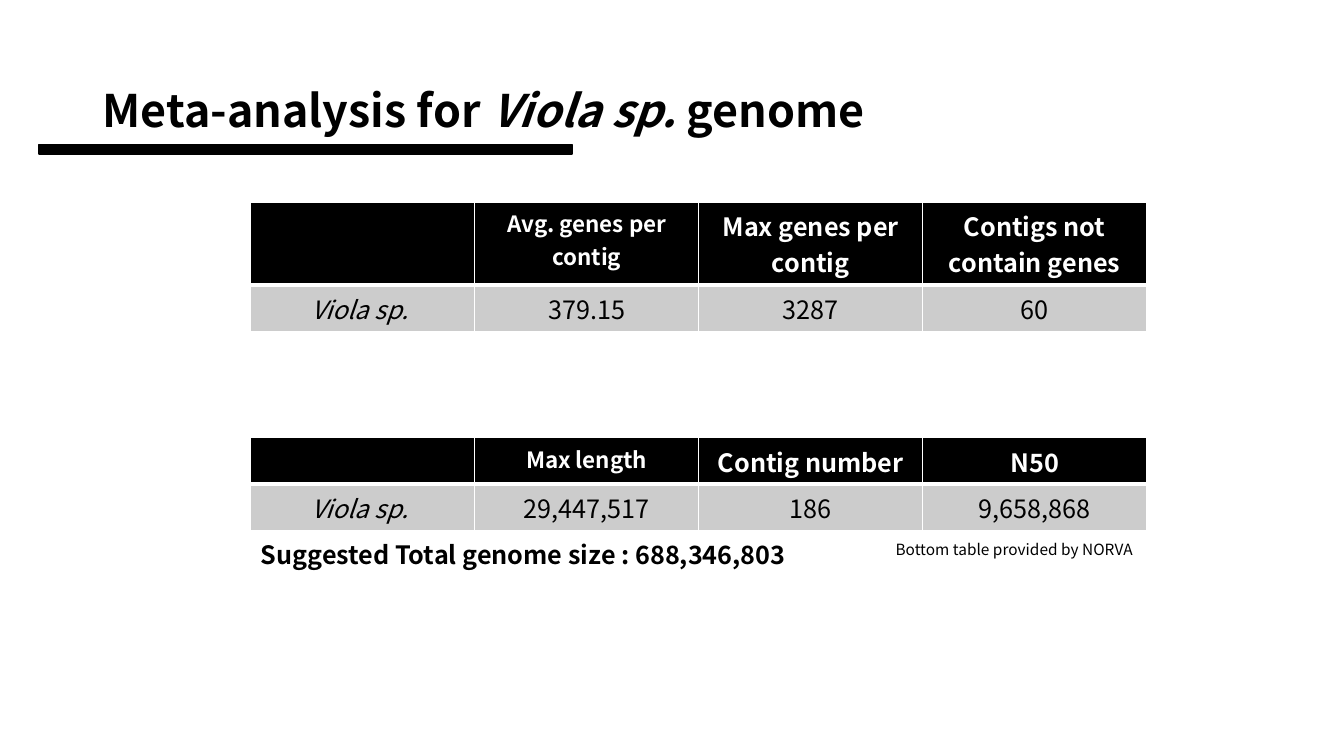
import pptx
import pptx.dml.color
import pptx.enum.shapes
import pptx.enum.text
import pptx.oxml
import pptx.oxml.ns
import pptx.util
from pptx.dml.color import RGBColor
from pptx.util import Cm

BLACK = RGBColor(0x00, 0x00, 0x00)
WHITE = RGBColor(0xFF, 0xFF, 0xFF)
GREY = RGBColor(0xCC, 0xCC, 0xCC)

TABLE_LEFT, TABLE_WIDTH, ROW_HEIGHT = 6.32, 22.58, 1.03


class Deck:
    """Holds the style and the current slide."""

    font = "Noto Sans CJK KR"

    def __init__(self):
        self.prs = pptx.Presentation()
        self.prs.slide_width, self.prs.slide_height = Cm(33.87), Cm(19.05)
        self.s = self.prs.slides.add_slide(self.prs.slide_layouts[5])

    def run(self, p, text, size, bold=False, italic=False, color=BLACK):
        r = p.add_run()
        r.text = text
        r.font.name = self.font
        r.font.size = pptx.util.Pt(size)
        r.font.bold, r.font.italic = bold, italic
        r.font.color.rgb = color

    def title(self, x, y, w, h, parts):
        sp = self.s.shapes.title
        sp.left, sp.top, sp.width, sp.height = Cm(x), Cm(y), Cm(w), Cm(h)
        tf = sp.text_frame
        tf.vertical_anchor = pptx.enum.text.MSO_ANCHOR.MIDDLE
        p = tf.paragraphs[0]
        p.alignment = pptx.enum.text.PP_ALIGN.LEFT
        p.line_spacing = 0.9
        for text, italic in parts:
            self.run(p, text, 32, bold=True, italic=italic)

    def bar(self, x, y, w, h):
        sp = self.s.shapes.add_shape(
            pptx.enum.shapes.MSO_SHAPE.RECTANGLE, Cm(x), Cm(y), Cm(w), Cm(h))
        sp.shadow.inherit = False
        sp.fill.solid()
        sp.fill.fore_color.rgb = BLACK
        sp.line.color.rgb = BLACK
        sp.line.width = pptx.util.Pt(1)

    def text(self, x, y, w, h, text, size, bold=False):
        tf = self.s.shapes.add_textbox(Cm(x), Cm(y), Cm(w), Cm(h)).text_frame
        tf.word_wrap = True
        tf.auto_size = pptx.enum.text.MSO_AUTO_SIZE.SHAPE_TO_FIT_TEXT
        self.run(tf.paragraphs[0], text, size, bold=bold)

    def borders(self, cell, top, bottom):
        tc_pr = cell._tc.get_or_add_tcPr()
        widths = {"L": 1, "R": 1, "T": top, "B": bottom}
        for i, (side, width) in enumerate(widths.items()):
            tc_pr.insert(i, pptx.oxml.parse_xml(
                f'<a:ln{side} {pptx.oxml.ns.nsdecls("a")} w="{width * 12700}">'
                f'<a:solidFill><a:srgbClr val="{WHITE}"/></a:solidFill>'
                f'</a:ln{side}>'))

    def table(self, y, rows):
        n = len(rows[0])
        table = self.s.shapes.add_table(
            len(rows), n, Cm(TABLE_LEFT), Cm(y),
            Cm(TABLE_WIDTH), Cm(ROW_HEIGHT * len(rows))).table
        table.horz_banding = False
        for i, row in enumerate(rows):
            header = i == 0
            for j, text in enumerate(row):
                cell = table.cell(i, j)
                cell.fill.solid()
                cell.fill.fore_color.rgb = BLACK if header else GREY
                # The rule between header and body is the thick one
                self.borders(cell, 1 if header else 3, 3 if header else 1)
                p = cell.text_frame.paragraphs[0]
                p.alignment = pptx.enum.text.PP_ALIGN.CENTER
                if text:
                    self.run(p, text, 16 if header and j == 1 else 18,
                             bold=header, italic=not header and j == 0,
                             color=WHITE if header else BLACK)


def main():
    deck = Deck()

    # Heading
    deck.bar(0.98, 3.64, 13.44, 0.24)
    deck.title(2.33, 1.01, 29.21, 3.68, [
        ("Meta-analysis for ", False), ("Viola sp. ", True), ("genome", False)])

    # Gene counts and assembly figures
    deck.table(5.09, [
        ["", "Avg. genes per contig", "Max genes per contig",
         "Contigs not contain genes"],
        ["Viola sp. ", "379.15", "3287", "60"]])
    deck.table(11.03, [
        ["", "Max length", "Contig number", "N50"],
        ["Viola sp. ", "29,447,517", "186", "9,658,868"]])

    # Notes under the tables
    deck.text(22.32, 13.48, 6.58, 0.73, "Bottom table provided by NORVA", 11)
    deck.text(TABLE_LEFT, 13.46, 14.84, 1.03,
              "Suggested Total genome size : 688,346,803", 18, bold=True)

    deck.prs.save("out.pptx")


if __name__ == "__main__":
    main()
